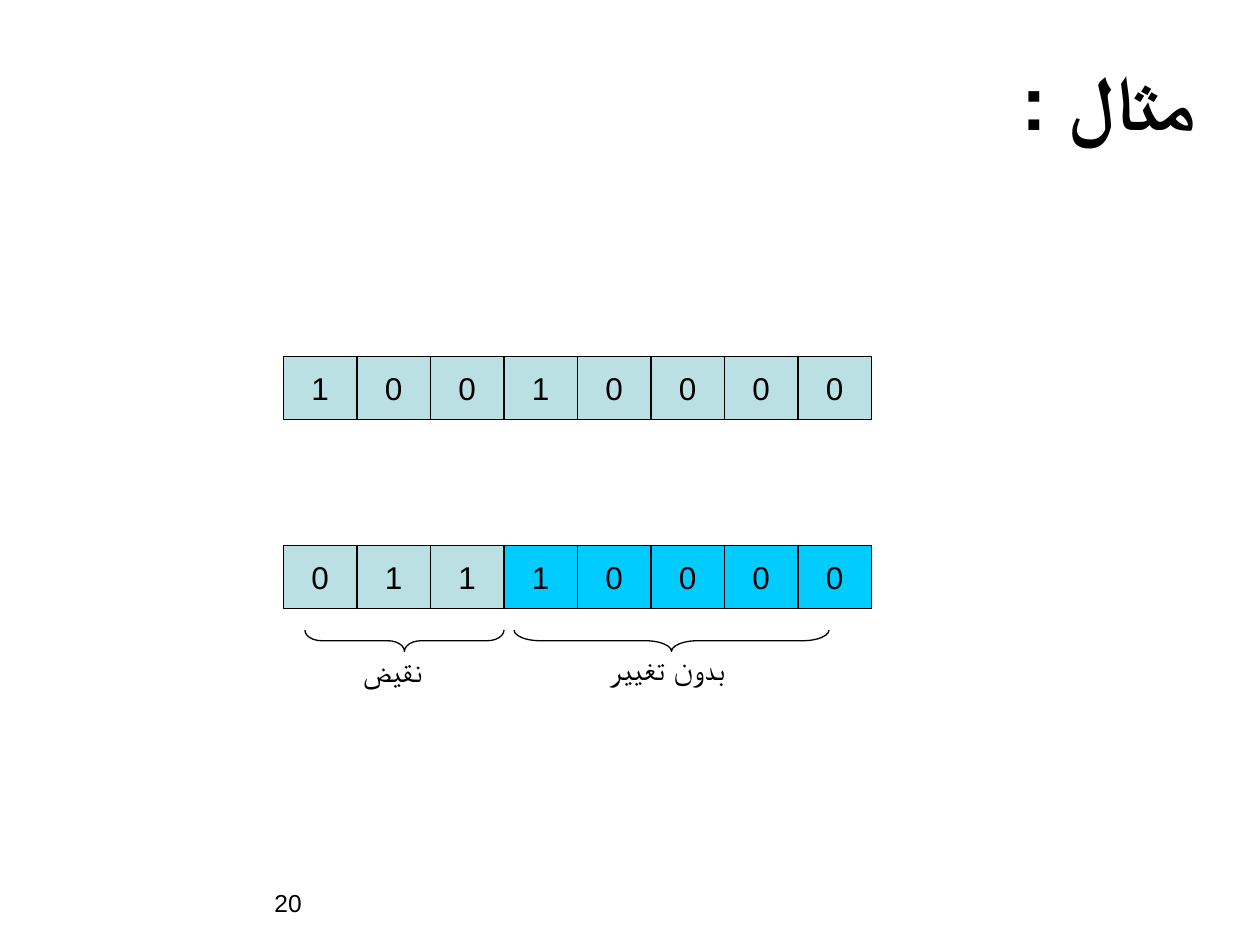
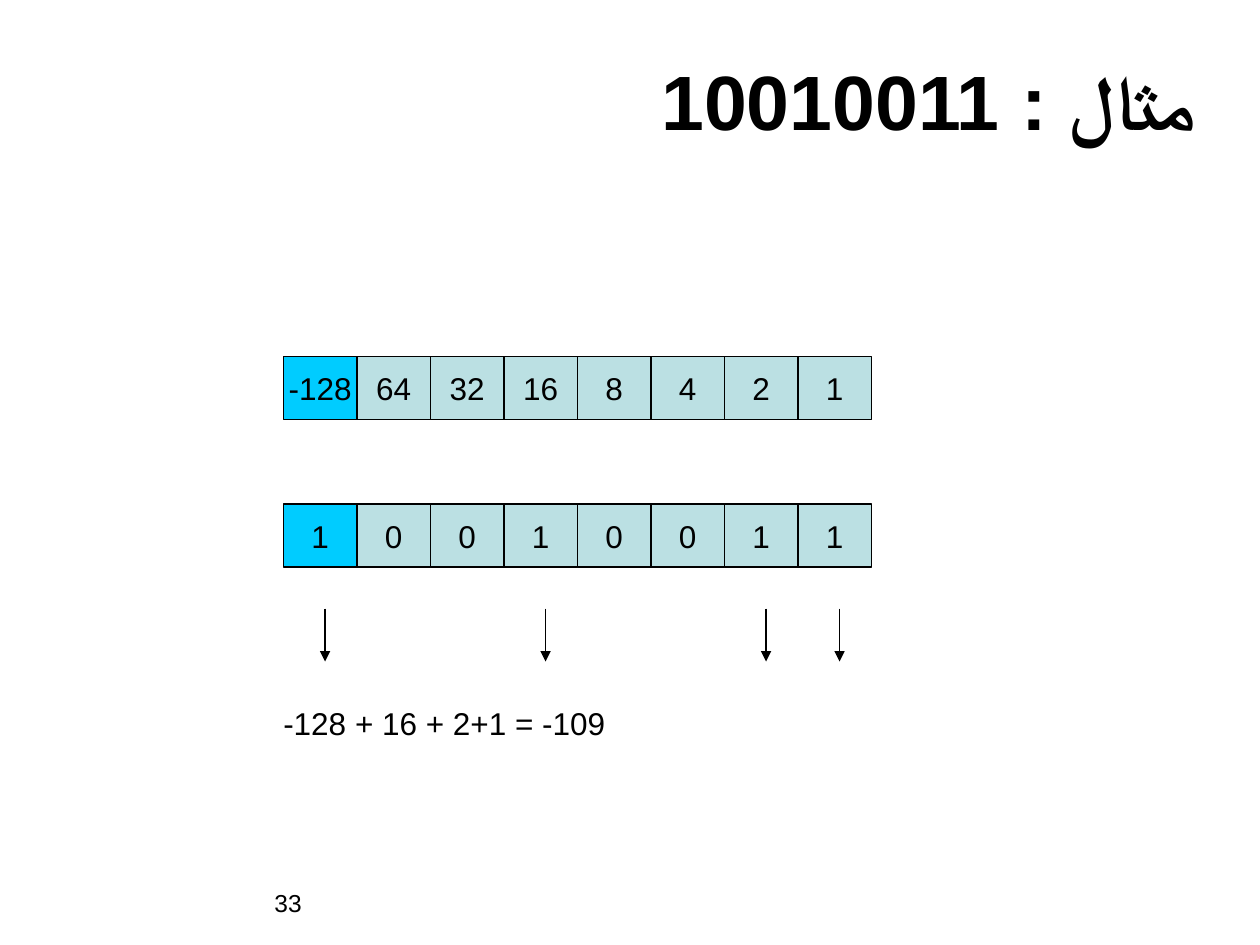
from dataclasses import dataclass

from pptx import Presentation
from pptx.dml.color import RGBColor
from pptx.enum.shapes import MSO_CONNECTOR as Connector, MSO_SHAPE as Shape
from pptx.enum.text import MSO_ANCHOR as Anchor, PP_ALIGN as Align
from pptx.oxml.xmlchemy import OxmlElement
from pptx.util import Inches, Pt


@dataclass(frozen=True)
class Theme:
    font: str = "Arial"
    ink: RGBColor = RGBColor(0x00, 0x00, 0x00)
    cell: RGBColor = RGBColor(0xBB, 0xE0, 0xE3)
    highlight: RGBColor = RGBColor(0x00, 0xCC, 0xFF)
    line_width: float = 0.75
    title_size: int = 44
    body_size: int = 18
    number_size: int = 14


THEME = Theme()
ROW_LEFT = 2.25
CELL_WIDTH = 7 / 12
CELL_HEIGHT = 0.5
FIRST_ROW_TOP = 2.83
BRACE_DEPTH = 0.17


def write(shape, text, size=THEME.body_size, bold=False, align=Align.LEFT,
          anchor=Anchor.TOP, wrap=False, right_to_left=False):
    frame = shape.text_frame
    frame.word_wrap = wrap
    frame.vertical_anchor = anchor
    paragraph = frame.paragraphs[0]
    paragraph.alignment = align
    if right_to_left:
        paragraph._p.get_or_add_pPr().set("rtl", "1")
    run = paragraph.add_run()
    run.text = text
    run.font.name = THEME.font
    run.font.size = Pt(size)
    run.font.bold = bold
    run.font.color.rgb = THEME.ink
    # Arabic script takes its font from a separate element
    script_font = OxmlElement("a:cs")
    script_font.set("typeface", THEME.font)
    run.font._element.append(script_font)


def add_text(slide, text, left, top, width, height, **text_format):
    box = slide.shapes.add_textbox(
        Inches(left), Inches(top), Inches(width), Inches(height))
    write(box, text, **text_format)


def set_outline(line):
    line.color.rgb = THEME.ink
    line.width = Pt(THEME.line_width)


def add_cell_row(slide, values, top, highlighted=()):
    """Draw adjoining cells; highlighted holds the column indexes to accent."""
    for column, value in enumerate(values):
        cell = slide.shapes.add_shape(
            Shape.RECTANGLE, Inches(ROW_LEFT + column * CELL_WIDTH), Inches(top),
            Inches(CELL_WIDTH), Inches(CELL_HEIGHT))
        cell.shadow.inherit = False
        cell.fill.solid()
        cell.fill.fore_color.rgb = (
            THEME.highlight if column in highlighted else THEME.cell)
        set_outline(cell.line)
        write(cell, value, align=Align.CENTER, anchor=Anchor.MIDDLE)


def add_brace_below(slide, left, top, length):
    """Turn a left brace so that it spans length and points down."""
    center_x = left + length / 2
    center_y = top + BRACE_DEPTH / 2
    brace = slide.shapes.add_shape(
        Shape.LEFT_BRACE,
        Inches(center_x - BRACE_DEPTH / 2), Inches(center_y - length / 2),
        Inches(BRACE_DEPTH), Inches(length))
    brace.rotation = 270
    brace.adjustments[0] = length / 12 / BRACE_DEPTH
    brace.shadow.inherit = False
    brace.fill.background()
    set_outline(brace.line)


def add_down_arrow(slide, x, top, bottom):
    arrow = slide.shapes.add_connector(
        Connector.STRAIGHT, Inches(x), Inches(top), Inches(x), Inches(bottom))
    set_outline(arrow.line)
    head = OxmlElement("a:tailEnd")
    head.set("type", "triangle")
    arrow.line._get_or_add_ln().append(head)
    arrow._element.spPr.append(OxmlElement("a:effectLst"))


def add_example_slide(presentation, title, number):
    slide = presentation.slides.add_slide(presentation.slide_layouts[6])
    add_text(slide, number, 2.08, 7, 1.5, 0.5, size=THEME.number_size, wrap=True)
    add_text(slide, title, 1.92, 0.33, 7.67, 0.92, size=THEME.title_size,
             bold=True, align=Align.RIGHT, anchor=Anchor.MIDDLE, wrap=True,
             right_to_left=True)
    return slide


def build_complement_slide(presentation):
    slide = add_example_slide(presentation, "مثال :", "20")
    add_cell_row(slide, "10010000", FIRST_ROW_TOP)
    add_cell_row(slide, "01110000", 4.33, highlighted=range(3, 8))
    add_brace_below(slide, 4.08, 5, 2.5)
    add_text(slide, "بدون تغییر", 4.74, 5.1, 1.25, 0.4)
    add_brace_below(slide, 2.42, 5, 1.58)
    add_text(slide, "نقیض", 2.78, 5.12, 0.78, 0.4)


def build_weights_slide(presentation):
    bits = "10010011"
    weights = ["-128", "64", "32", "16", "8", "4", "2", "1"]
    slide = add_example_slide(presentation, f"مثال : {bits}", "33")
    add_cell_row(slide, weights, FIRST_ROW_TOP, highlighted=[0])
    add_cell_row(slide, bits, 4, highlighted=[0])
    for column, bit in enumerate(bits):
        if bit == "1":
            add_down_arrow(slide, ROW_LEFT + 0.33 + column * CELL_WIDTH, 4.83, 5.25)
    add_text(slide, "-128 + 16 + 2+1 = -109", 2.15, 5.54, 2.76, 0.4)


def main():
    presentation = Presentation()
    presentation.slide_width = Inches(10)
    presentation.slide_height = Inches(7.5)
    build_complement_slide(presentation)
    build_weights_slide(presentation)
    presentation.save("out.pptx")


if __name__ == "__main__":
    main()
